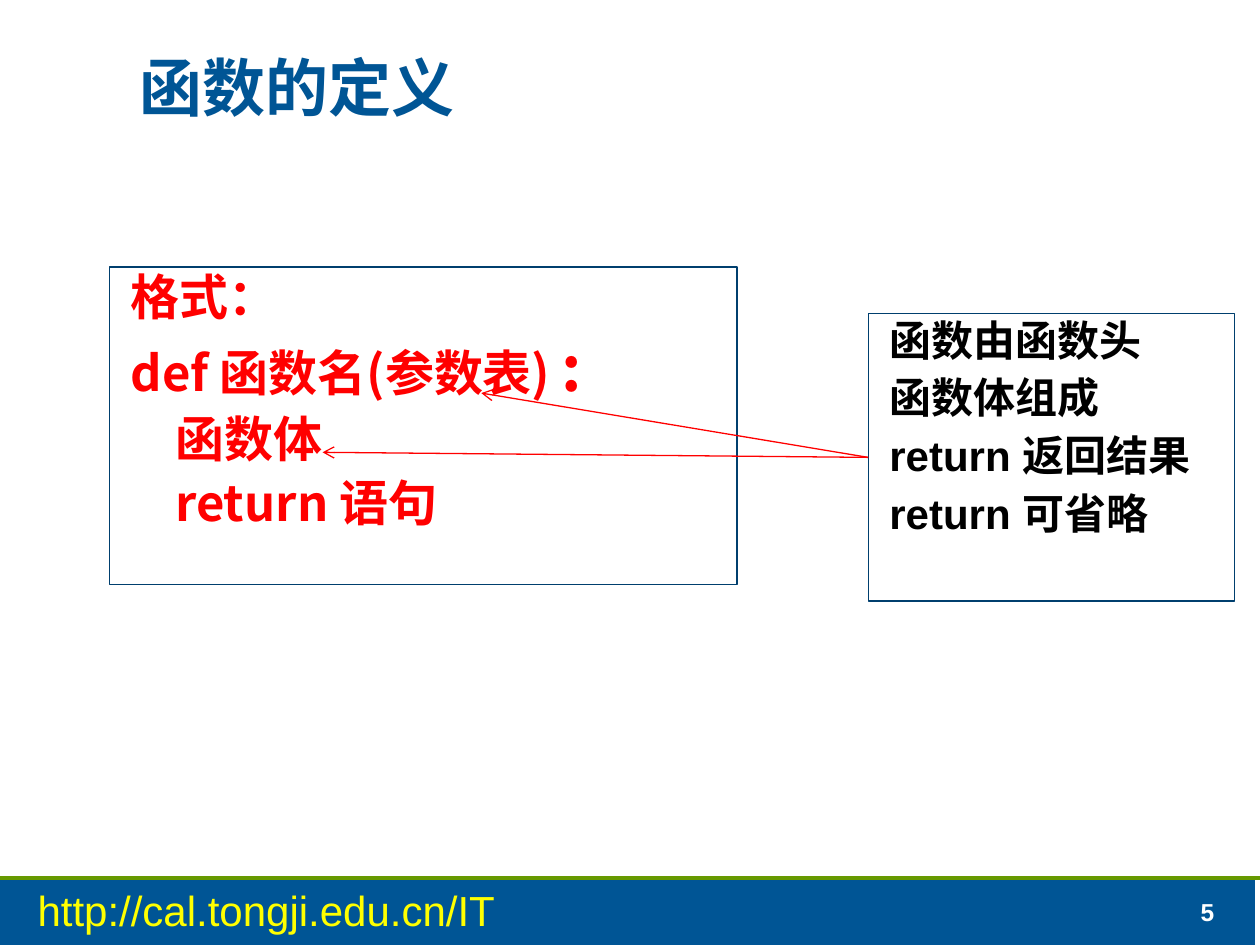
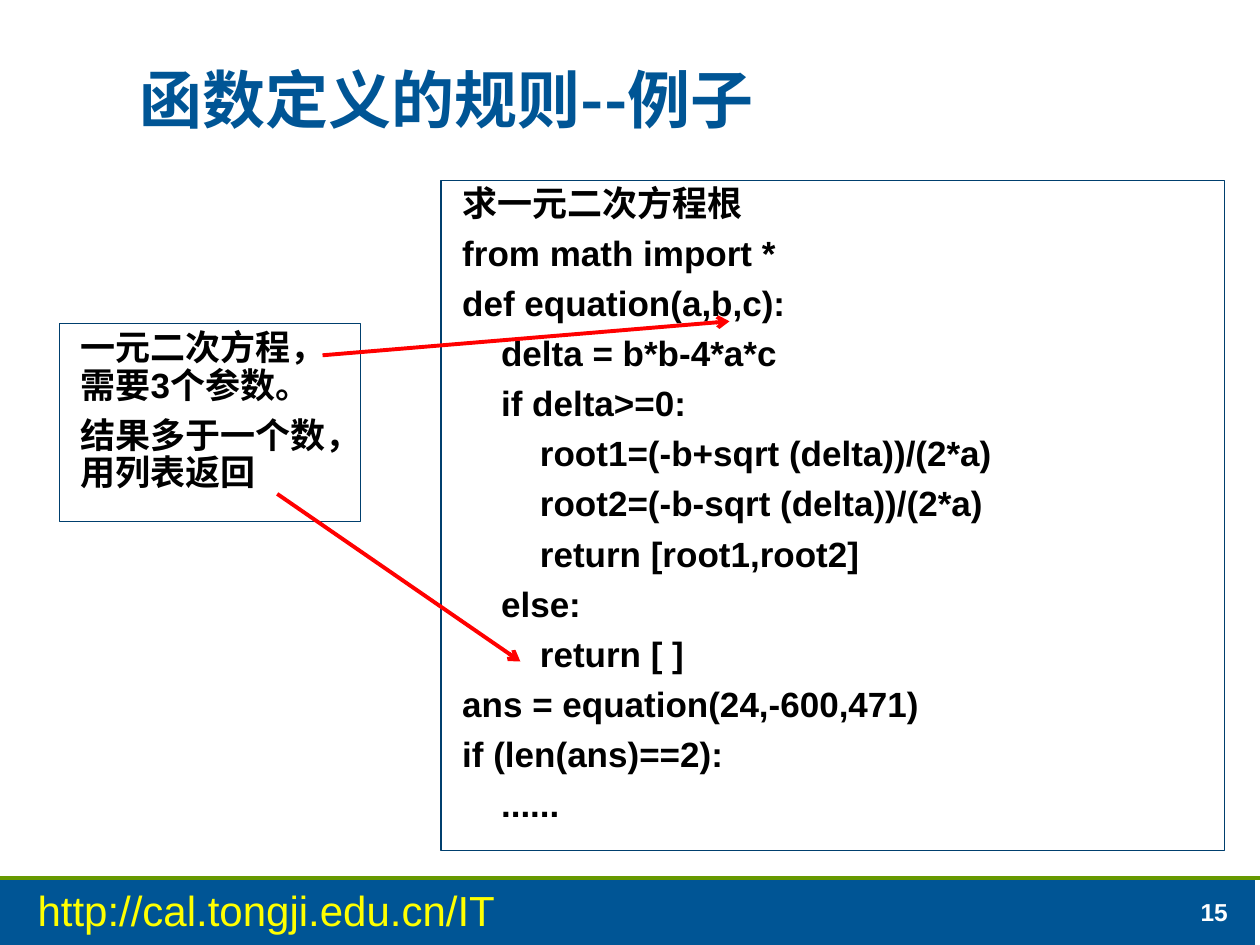
import pptx
import pptx.dml.color
import pptx.enum.shapes
import pptx.enum.text
import pptx.oxml.ns
import pptx.util
from lxml import etree

Inches = pptx.util.Inches
Pt = pptx.util.Pt
RGBColor = pptx.dml.color.RGBColor
Anchor = pptx.enum.text.MSO_ANCHOR
Align = pptx.enum.text.PP_ALIGN
Rect = pptx.enum.shapes.MSO_SHAPE.RECTANGLE
Line = pptx.enum.shapes.MSO_CONNECTOR.STRAIGHT
qn = pptx.oxml.ns.qn

BLUE = RGBColor(0x00, 0x55, 0x95)
NAVY = RGBColor(0x00, 0x3F, 0x6E)
GREEN = RGBColor(0x66, 0x99, 0x00)
YELLOW = RGBColor(0xFF, 0xFF, 0x00)
RED = RGBColor(0xFF, 0x00, 0x00)
WHITE = RGBColor(0xFF, 0xFF, 0xFF)
BLACK = RGBColor(0x00, 0x00, 0x00)
LATIN = "Arial"
HAN = "Noto Sans CJK SC"


class Deck:
    def __init__(self):
        self.prs = pptx.Presentation()
        self.prs.slide_width = Inches(10)
        self.prs.slide_height = Inches(7.5)
        self.slide = None

    def page(self, title, height, number):
        self.slide = self.prs.slides.add_slide(self.prs.slide_layouts[6])
        self.rect((0, 6.97, 9.96, 0.53), BLUE)
        self.line((0, 6.97), (10, 6.97), GREEN, 2)
        self.label((9.43, 7.06, 0.53, 0.34), str(number), 14, WHITE, bold=True, anchor=Anchor.BOTTOM)
        self.label((0.2, 6.97, 3.94, 0.5), "http://cal.tongji.edu.cn/IT", 24, YELLOW)
        head = self.label((0.67, 0.37, 8.73, height), title, 36, BLUE, HAN, True, Anchor.BOTTOM)
        head.margin_left = Inches(0.44)
        head.paragraphs[0].line_spacing = 0.95

    def style(self, run, size, color, font, bold):
        run.font.size = Pt(size)
        run.font.bold = bold
        run.font.color.rgb = color
        run.font.name = font
        etree.SubElement(run.font._element, qn("a:ea")).set("typeface", HAN)

    def label(self, area, text, size, color, font=LATIN, bold=False, anchor=Anchor.TOP):
        frame = self.slide.shapes.add_textbox(*map(Inches, area)).text_frame
        frame.word_wrap = True
        frame.vertical_anchor = anchor
        frame.text = text
        self.style(frame.paragraphs[0].runs[0], size, color, font, bold)
        return frame

    def rect(self, area, fill=None, edge=None):
        shape = self.slide.shapes.add_shape(Rect, *map(Inches, area))
        shape.shadow.inherit = False
        if fill is None:
            shape.fill.background()
        else:
            shape.fill.solid()
            shape.fill.fore_color.rgb = fill
        if edge is None:
            shape.line.fill.background()
        else:
            shape.line.color.rgb = edge
            shape.line.width = Pt(0.75)
        return shape

    def box(self, area, lines, size, color=BLACK, font=LATIN, fill=None, gap=7):
        shape = self.rect(area, fill, NAVY)
        frame = shape.text_frame
        frame.word_wrap = True
        frame.vertical_anchor = Anchor.TOP
        frame.text = "\n".join(lines)
        for row, para in enumerate(frame.paragraphs):
            para.alignment = Align.LEFT
            para.line_spacing = 0.9
            para.space_before = Pt(gap if row else 0)
            para._p.get_or_add_pPr().set("marL", str(Inches(0.07)))
            self.style(para.runs[0], size, color, font, True)
        return shape

    def line(self, start, end, color, width):
        line = self.slide.shapes.add_connector(Line, *map(Inches, (*start, *end)))
        line.line.color.rgb = color
        line.line.width = Pt(width)
        etree.SubElement(line._element.spPr, qn("a:effectLst"))
        return line

    def arrow(self, start, end, width):
        line = self.line(start, end, RED, width)
        etree.SubElement(line.line._get_or_add_ln(), qn("a:tailEnd")).set("type", "arrow")
        return line


def define(deck):
    deck.page("函数的定义", 0.68, 5)
    code = ["格式：", "def 函数名(参数表) ", "    函数体", "    return 语句"]
    form = deck.box((0.87, 2.12, 4.98, 2.52), code, 28, RED, HAN, WHITE, 6)
    colon = form.text_frame.paragraphs[1].add_run()
    colon.text = ":"
    deck.style(colon, 36, RED, HAN, True)
    parts = ["函数由函数头", "函数体组成", "return 返回结果", "return 可省略"]
    note = deck.box((6.89, 2.49, 2.91, 2.28), parts, 24)
    for end in ((3.82, 3.12), (2.56, 3.59)):
        deck.arrow((6.89, 3.63), end, 0.75).begin_connect(note, 1)


def sample(deck):
    deck.page("函数定义的规则--例子", 0.77, 15)
    code = [
        "求一元二次方程根",
        "from math import *",
        "def equation(a,b,c):",
        "    delta = b*b-4*a*c",
        "    if delta>=0:",
        "        root1=(-b+sqrt (delta))/(2*a)",
        "        root2=(-b-sqrt (delta))/(2*a)",
        "        return [root1,root2]",
        "    else:",
        "        return [ ]",
        "ans = equation(24,-600,471)",
        "if (len(ans)==2):",
        "    ......",
    ]
    deck.box((3.5, 1.43, 6.22, 5.32), code, 20, fill=WHITE)
    notes = ["一元二次方程，需要3个参数。", "结果多于一个数，用列表返回"]
    deck.box((0.47, 2.57, 2.39, 1.57), notes, 20)
    deck.arrow((2.56, 2.82), (5.79, 2.55), 2.25)
    deck.arrow((2.2, 3.92), (4.13, 5.25), 2.25)


def main():
    deck = Deck()
    define(deck)
    sample(deck)
    deck.prs.save("out.pptx")


if __name__ == "__main__":
    main()
